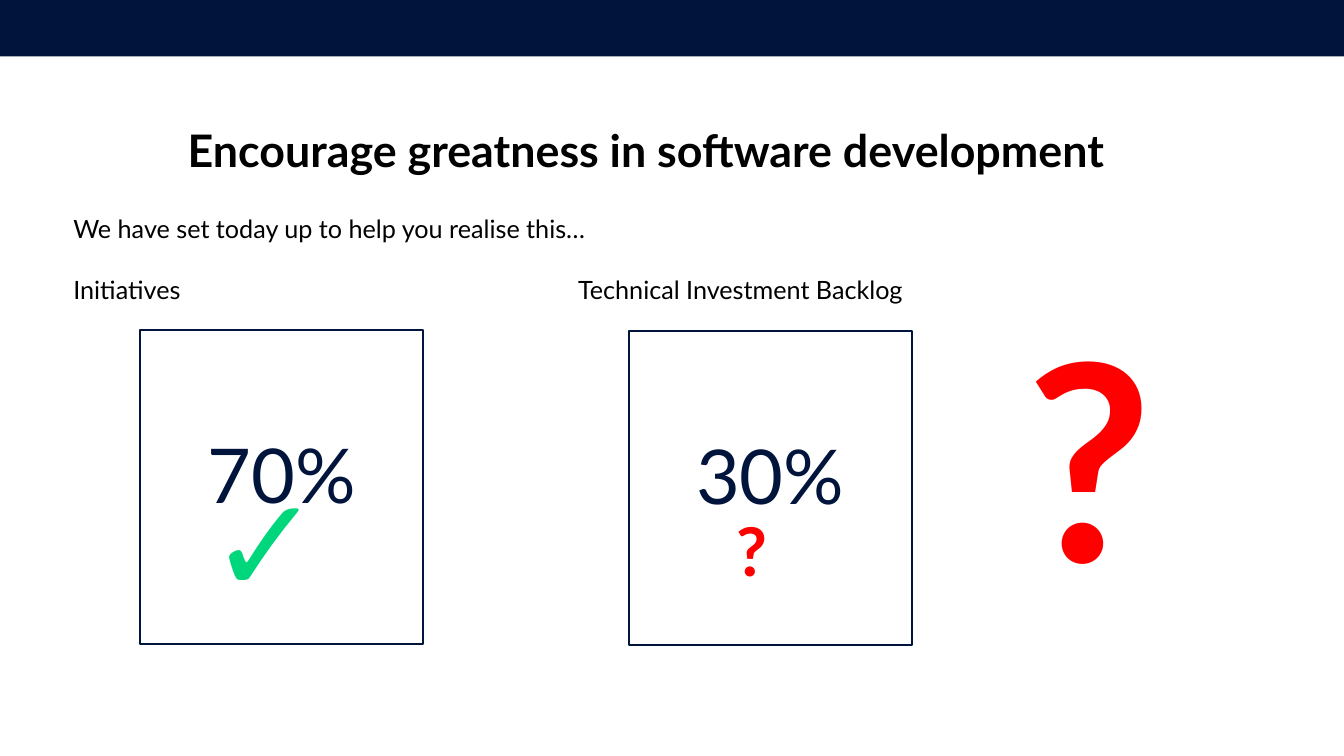
from dataclasses import dataclass

from lxml import etree
from pptx import Presentation
from pptx.dml.color import RGBColor
from pptx.enum.shapes import MSO_SHAPE
from pptx.enum.text import MSO_ANCHOR, MSO_AUTO_SIZE, PP_ALIGN
from pptx.oxml.ns import qn
from pptx.util import Emu, Pt

RECTANGLE = MSO_SHAPE.RECTANGLE
TOP = MSO_ANCHOR.TOP
NO_AUTOFIT = MSO_AUTO_SIZE.NONE
LEFT, CENTER = PP_ALIGN.LEFT, PP_ALIGN.CENTER
EMU_PER_PX = 9144  # 100 px to the inch
SLIDE_WIDTH, SLIDE_HEIGHT = 1334, 750
TITLE_ONLY = 5


@dataclass(frozen=True)
class Theme:
    font: str = "Lato"
    symbol_font: str = "Arial"
    navy: str = "00143C"
    black: str = "000000"
    white: str = "FFFFFF"
    green: str = "00D77D"
    red: str = "FF0000"
    title_size: int = 32
    body_size: int = 18
    share_size: int = 54
    tick_size: int = 96
    question_size: int = 48
    big_question_size: int = 196


@dataclass(frozen=True)
class Box:
    left: int
    top: int
    width: int
    height: int


@dataclass(frozen=True)
class Share:
    text: str
    box: Box


@dataclass(frozen=True)
class Mark:
    text: str
    box: Box
    size: int
    color: str
    font: str
    bold: bool


THEME = Theme()
SHARES = (
    Share("70%", Box(139, 327, 281, 312)),
    Share("30%", Box(624, 328, 281, 312)),
)
MARKS = (
    Mark("✓", Box(208, 455, 150, 150), THEME.tick_size, THEME.green, THEME.symbol_font, False),
    Mark("?", Box(731, 505, 100, 100), THEME.question_size, THEME.red, THEME.font, True),
    Mark("?", Box(1019, 286, 200, 300), THEME.big_question_size, THEME.red, THEME.font, True),
)


def px(length: int) -> Emu:
    return Emu(length * EMU_PER_PX)


def place(box: Box) -> tuple[Emu, Emu, Emu, Emu]:
    return px(box.left), px(box.top), px(box.width), px(box.height)


def write(shape, *lines: str, size: int, color: str = THEME.black, font: str = THEME.font,
          bold: bool = False, align=LEFT, insets: tuple[int, int] = (10, 5),
          gap: int = 0, tab: int = 0) -> None:
    """Fill a shape with one paragraph a line; insets are side and top."""
    frame = shape.text_frame
    frame.auto_size = NO_AUTOFIT
    frame.word_wrap = True
    frame.vertical_anchor = TOP
    side, top = insets
    frame.margin_left = frame.margin_right = px(side)
    frame.margin_top, frame.margin_bottom = px(top), px(0)
    for index, line in enumerate(lines):
        paragraph = frame.add_paragraph() if index else frame.paragraphs[0]
        paragraph.alignment = align
        if tab:
            tabs = etree.SubElement(paragraph._p.get_or_add_pPr(), qn("a:tabLst"))
            etree.SubElement(tabs, qn("a:tab"), pos=str(px(tab)), algn="l")
        if index and gap:
            paragraph.space_before = Pt(gap)
        run = paragraph.add_run()
        run.text = line
        run.font.name = font
        run.font.size = Pt(size)
        run.font.bold = bold
        run.font.color.rgb = RGBColor.from_string(color)


def add_rectangle(slide, box: Box, fill: str, line: str | None = None):
    shape = slide.shapes.add_shape(RECTANGLE, *place(box))
    shape.shadow.inherit = False
    shape.fill.solid()
    shape.fill.fore_color.rgb = RGBColor.from_string(fill)
    if line:
        shape.line.color.rgb = RGBColor.from_string(line)
        shape.line.width = Pt(1.5)
    else:
        shape.line.fill.background()
    return shape


def main() -> None:
    presentation = Presentation()
    presentation.slide_width = px(SLIDE_WIDTH)
    presentation.slide_height = px(SLIDE_HEIGHT)
    slide = presentation.slides.add_slide(presentation.slide_layouts[TITLE_ONLY])

    # Header band and title
    add_rectangle(slide, Box(0, 0, SLIDE_WIDTH, 56), THEME.navy)
    title = slide.shapes.title
    title.left, title.top, title.width, title.height = place(Box(49, 117, 1185, 64))
    write(title, "Encourage greatness in software development",
          size=THEME.title_size, bold=True, align=CENTER)

    # Introduction and the two column labels
    introduction = slide.shapes.add_textbox(*place(Box(63, 207, 1214, 100)))
    write(introduction, "We have set today up to help you realise this…",
          "Initiatives\tTechnical Investment Backlog",
          size=THEME.body_size, gap=22, tab=501)

    # Share boxes
    for share in SHARES:
        shape = add_rectangle(slide, share.box, THEME.white, THEME.navy)
        write(shape, share.text, size=THEME.share_size, color=THEME.navy,
              align=CENTER, insets=(10, 97))

    # Tick and question marks
    for mark in MARKS:
        text_box = slide.shapes.add_textbox(*place(mark.box))
        write(text_box, mark.text, size=mark.size, color=mark.color,
              font=mark.font, bold=mark.bold, insets=(0, 0))

    presentation.save("out.pptx")


if __name__ == "__main__":
    main()
